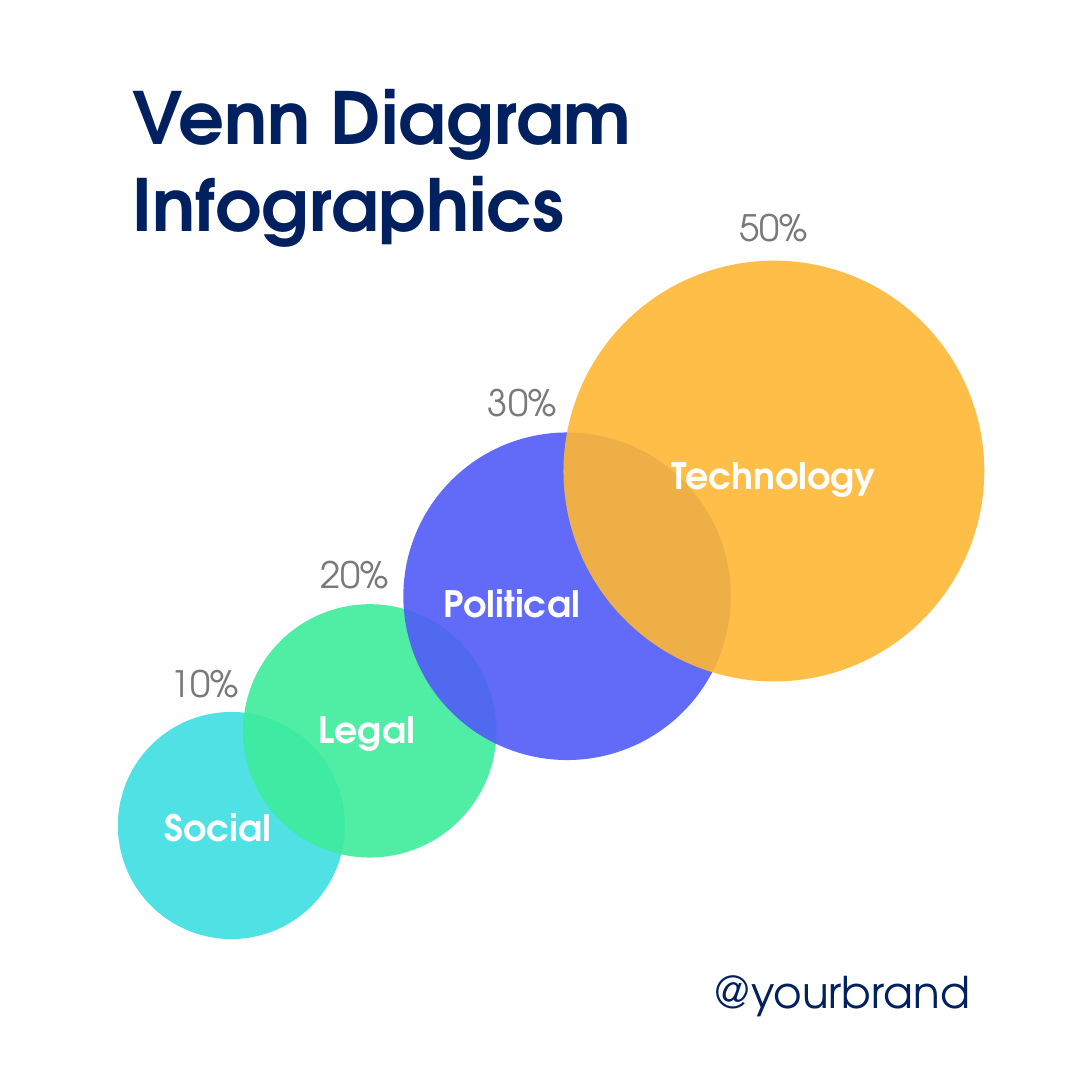
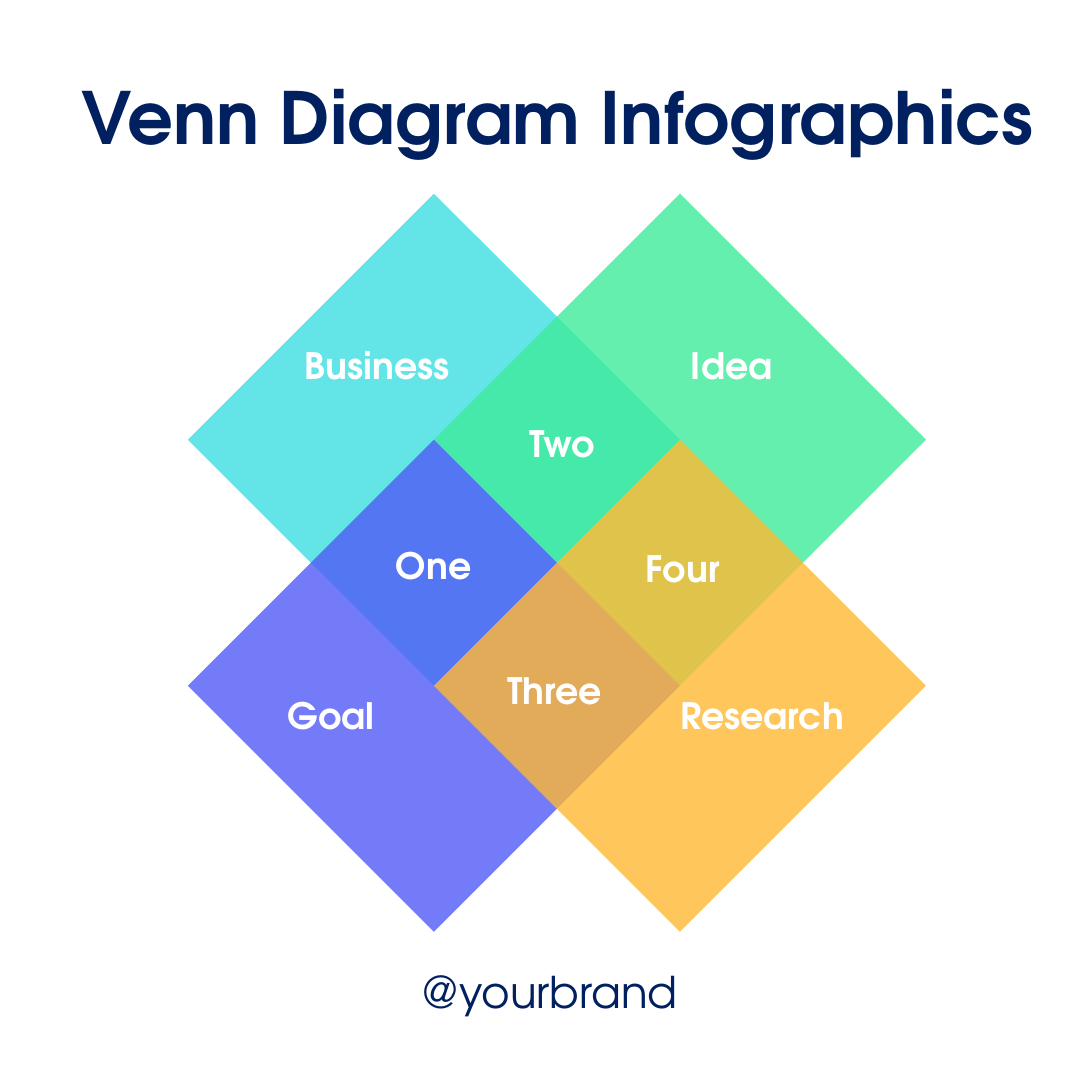
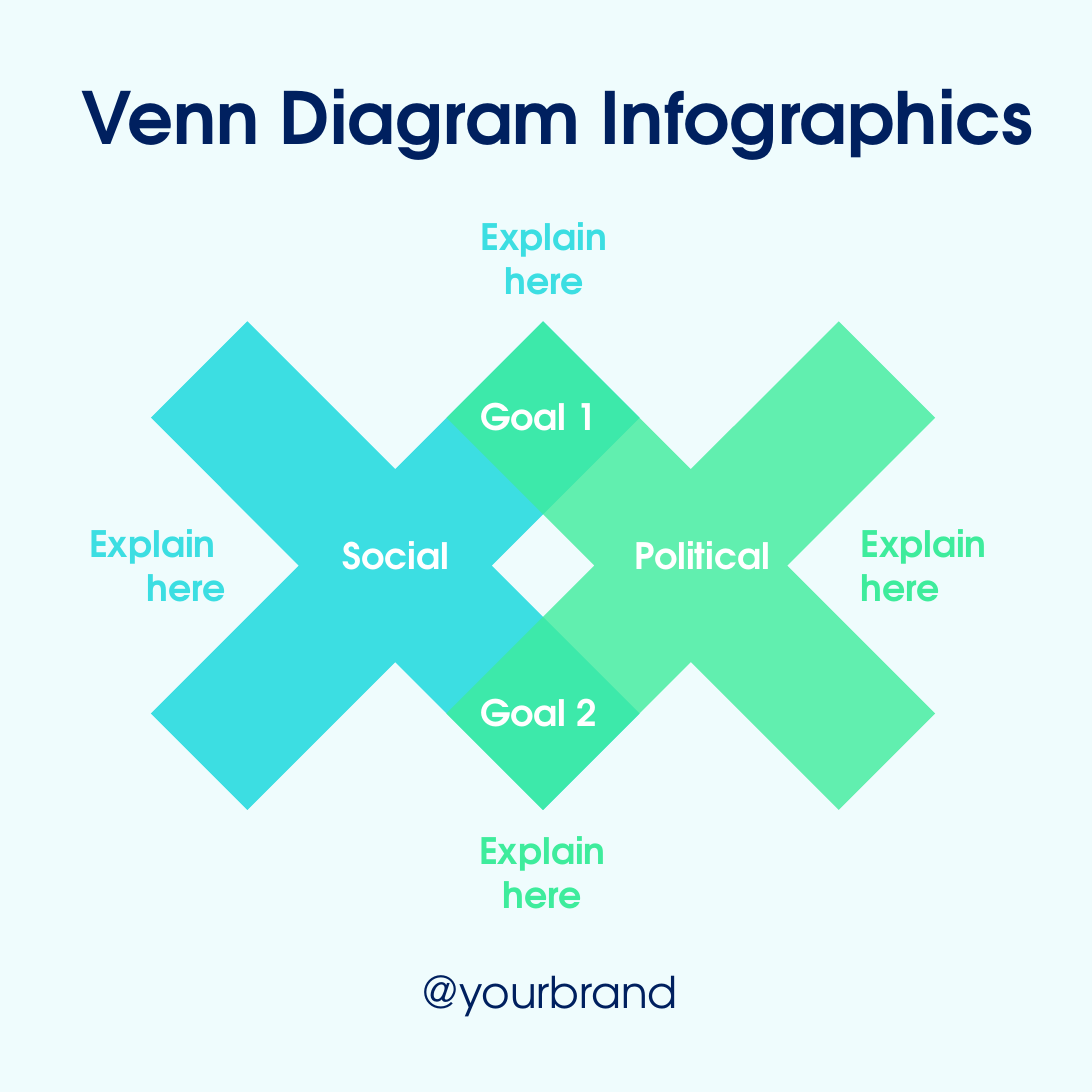
from lxml import etree
from pptx import Presentation
from pptx.dml.color import RGBColor
from pptx.enum.shapes import MSO_SHAPE
from pptx.enum.text import MSO_AUTO_SIZE, PP_ALIGN
from pptx.oxml.ns import qn
from pptx.util import Emu, Pt

PX = 9144
SIDE = 750
FONT = "TeX Gyre Adventor"

OVAL = MSO_SHAPE.OVAL
DIAMOND = MSO_SHAPE.DIAMOND
CROSS = MSO_SHAPE.CROSS
GROW = MSO_AUTO_SIZE.SHAPE_TO_FIT_TEXT
LEFT, MID, RIGHT = PP_ALIGN.LEFT, PP_ALIGN.CENTER, PP_ALIGN.RIGHT

WHITE = RGBColor(0xFF, 0xFF, 0xFF)
MIST = RGBColor(0xEF, 0xFC, 0xFD)
NAVY = RGBColor(0x00, 0x20, 0x5F)
GREY = RGBColor(0x7A, 0x79, 0x7A)
AQUA = RGBColor(0x3C, 0xDE, 0xE2)
GREEN = RGBColor(0x3E, 0xEC, 0x9C)
BLUE = RGBColor(0x52, 0x5B, 0xF7)
GOLD = RGBColor(0xFE, 0xB8, 0x33)

BRAND = "@yourbrand"
TITLE = "Venn Diagram Infographics"
STACKED = "Venn Diagram\nInfographics"
WIDE = (32, 45, 702, 70)
FOOT = (240, 658, 275, 46)

CIRCLES = [
    (81, 489, 156, AQUA),
    (167, 415, 174, GREEN),
    (277, 297, 225, BLUE),
    (387, 179, 289, GOLD),
]
SECTORS = [
    ("Social", (102, 548, 95, 40), MID),
    ("Legal", (209, 481, 88, 40), LEFT),
    ("Political", (295, 394, 115, 40), LEFT),
    ("Technology", (450, 306, 163, 40), MID),
]
SHARES = [
    ("10%", (103, 449, 71, 40), RIGHT),
    ("20%", (168, 374, 109, 40), RIGHT),
    ("30%", (283, 256, 109, 40), RIGHT),
    ("50%", (477, 136, 109, 40), MID),
]

TILES = [AQUA, GREEN, BLUE, GOLD]
TILE_X, TILE_Y, TILE, STEP = 129, 133, 338, 169
TOPICS = [
    ("Business", (199, 231, 120, 40)),
    ("Goal", (187, 471, 81, 40)),
    ("Idea", (464, 231, 77, 40)),
    ("Research", (456, 471, 135, 40)),
    ("One", (261, 368, 74, 40)),
    ("Two", (352, 284, 68, 40)),
    ("Three", (338, 454, 86, 40)),
    ("Four", (433, 370, 72, 40)),
]

CROSSES = [(81, AQUA, 100), (284, GREEN, 80)]
CROSS_Y, CROSS_SIZE, NOTCH = 198, 381, 0.377
GOALS = [
    ("Political", (424, 361, 117, 41)),
    ("Social", (224, 361, 96, 41)),
    ("Goal 1", (319, 266, 102, 40)),
    ("Goal 2", (319, 469, 102, 40)),
]
NOTES = [
    ("Explain \nhere", (319, 142, 109, 71), AQUA, MID),
    ("Explain \nhere", (42, 353, 123, 71), AQUA, RIGHT),
    ("Explain\nhere", (581, 353, 123, 71), GREEN, LEFT),
    ("Explain \nhere", (318, 564, 109, 71), GREEN, MID),
]


def scale(box):
    return [Emu(n * PX) for n in box]


def text(slide, words, box, size=18, color=WHITE, bold=True, align=MID, wrap=True):
    frame = slide.shapes.add_textbox(*scale(box)).text_frame
    frame.word_wrap = wrap
    frame.auto_size = GROW
    frame.text = words
    for para in frame.paragraphs:
        para.alignment = align
        for run in para.runs:
            font = run.font
            font.name, font.size, font.bold = FONT, Pt(size), bold
            font.color.rgb = color


def shape(home, kind, box, color, alpha=100):
    item = home.shapes.add_shape(kind, *scale(box))
    item.shadow.inherit = False
    item.line.fill.background()
    item.fill.solid()
    item.fill.fore_color.rgb = color
    if alpha < 100:
        tint = item.fill._xPr.find(".//" + qn("a:srgbClr"))
        etree.SubElement(tint, qn("a:alpha"), val=str(alpha * 1000))
    return item


def start(deck, back=WHITE, title=TITLE, head=WIDE, side=MID, foot=FOOT, end=MID):
    slide = deck.slides.add_slide(deck.slide_layouts[6])
    fill = slide.background.fill
    fill.solid()
    fill.fore_color.rgb = back
    text(slide, title, head, size=35.6, color=NAVY, align=side)
    text(slide, BRAND, foot, size=21.6, color=NAVY, bold=False, align=end)
    return slide


def circles(deck):
    slide = start(deck, title=STACKED, head=(81, 45, 481, 130), side=LEFT,
                  foot=(401, 658, 275, 46), end=RIGHT)
    for x, y, size, color in CIRCLES:
        shape(slide, OVAL, (x, y, size, size), color, alpha=90)
    for words, box, align in SECTORS:
        text(slide, words, box, align=align, wrap=False)
    for words, box, align in SHARES:
        text(slide, words, box, color=GREY, bold=False, align=align)


def diamonds(deck):
    slide = start(deck)
    group = slide.shapes.add_group_shape()
    for i, color in enumerate(TILES):
        row, col = divmod(i, 2)
        box = (TILE_X + col * STEP, TILE_Y + row * STEP, TILE, TILE)
        shape(group, DIAMOND, box, color, alpha=80)
    for words, box in TOPICS:
        text(slide, words, box, wrap=False)


def crosses(deck):
    slide = start(deck, back=MIST)
    for x, color, alpha in CROSSES:
        box = (x, CROSS_Y, CROSS_SIZE, CROSS_SIZE)
        cross = shape(slide, CROSS, box, color, alpha)
        cross.adjustments[0] = NOTCH
        cross.rotation = 45
    for words, box in GOALS:
        text(slide, words, box, wrap=False)
    for words, box, color, align in NOTES:
        text(slide, words, box, color=color, align=align)


def main():
    deck = Presentation()
    deck.slide_width = deck.slide_height = Emu(SIDE * PX)
    for build in (circles, diamonds, crosses):
        build(deck)
    deck.save("out.pptx")


if __name__ == "__main__":
    main()
